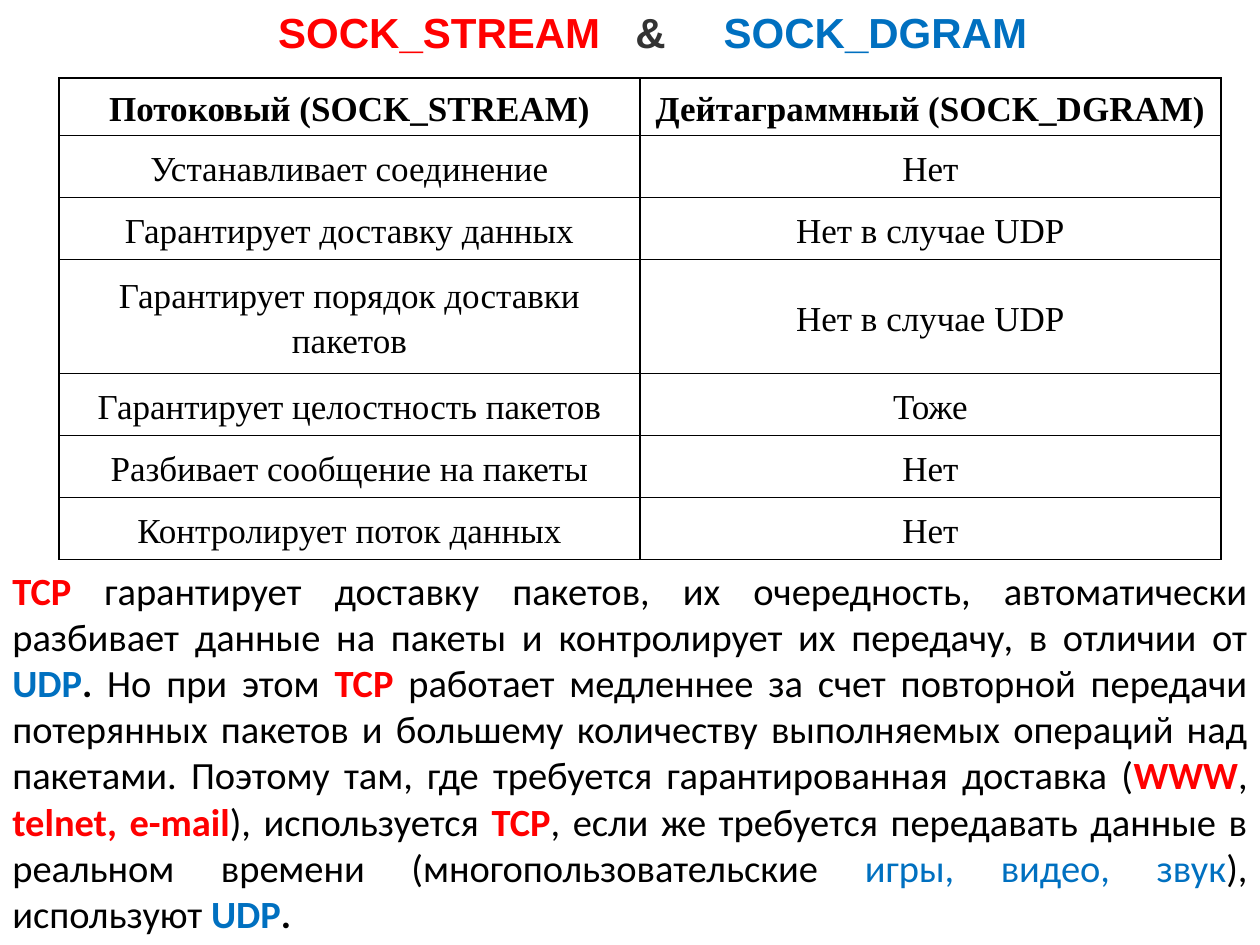
from lxml import etree
from pptx import Presentation
from pptx.dml.color import RGBColor
from pptx.enum.shapes import MSO_SHAPE
from pptx.enum.text import MSO_ANCHOR, MSO_AUTO_SIZE, PP_ALIGN
from pptx.oxml import parse_xml
from pptx.oxml.ns import nsdecls, qn
from pptx.util import Cm, Pt

BLACK = RGBColor(0x00, 0x00, 0x00)
WHITE = RGBColor(0xFF, 0xFF, 0xFF)
GRAY = RGBColor(0x33, 0x33, 0x33)
RED = RGBColor(0xFF, 0x00, 0x00)
BLUE = RGBColor(0x00, 0x70, 0xC0)

TITLE = [
    ("SOCK_STREAM\t", RED, True),
    ("&\t", GRAY, True),
    ("SOCK_DGRAM", BLUE, True),
]
TITLE_TABS = (Cm(7.2), Cm(8.98))

ROWS = [
    ("Потоковый (SOCK_STREAM)", "Дейтаграммный (SOCK_DGRAM)"),
    ("Устанавливает соединение", "Нет"),
    ("Гарантирует доставку данных", "Нет в случае UDP"),
    ("Гарантирует порядок доставки пакетов", "Нет в случае UDP"),
    ("Гарантирует целостность пакетов", "Тоже"),
    ("Разбивает сообщение на пакеты", "Нет"),
    ("Контролирует поток данных", "Нет"),
]
HEADER_HEIGHT, ROW_HEIGHT, TALL_HEIGHT = Cm(1.16), Cm(1.25), Cm(2.3)
TALL_ROW = 3
COLUMN_WIDTH = Cm(11.71)
CELL_MARGIN = Cm(0.03)

SUMMARY = [
    ("TCP", RED, True),
    (" гарантирует доставку пакетов, их очередность, автоматически разбивает "
     "данные на пакеты и контролирует их передачу, в отличии от ", BLACK, False),
    ("UDP", BLUE, True),
    (".", BLACK, True),
    (" Но при этом ", BLACK, False),
    ("TCP", RED, True),
    (" работает медленнее за счет повторной передачи потерянных пакетов и "
     "большему количеству выполняемых операций над пакетами. Поэтому там, где "
     "требуется гарантированная доставка (", BLACK, False),
    ("WWW", RED, True),
    (", ", BLACK, False),
    ("telnet, e-mail", RED, True),
    ("), используется ", BLACK, False),
    ("TCP", RED, True),
    (", если же требуется передавать данные в реальном времени "
     "(многопользовательские ", BLACK, False),
    ("игры, видео, звук", BLUE, False),
    ("), используют ", BLACK, False),
    ("UDP", BLUE, True),
    (".", BLACK, True),
]


def write_runs(p, runs, font, size):
    p.font.name = font
    p.font.size = Pt(size)
    for text, color, bold in runs:
        r = p.add_run()
        r.text = text
        r.font.color.rgb = color
        r.font.bold = bold


def add_tab_stops(p, positions):
    pPr = p._p.get_or_add_pPr()
    tabs = etree.Element(qn("a:tabLst"))
    for pos in positions:
        etree.SubElement(tabs, qn("a:tab"), pos=str(pos), algn="l")
    pPr.insert(0, tabs)


def add_title(slide):
    s = slide.shapes.add_shape(MSO_SHAPE.RECTANGLE, Cm(5.36), 0, Cm(15.75), Cm(1.28))
    s.shadow.inherit = False
    s.fill.solid()
    s.fill.fore_color.rgb = WHITE
    s.line.fill.background()
    tf = s.text_frame
    tf.word_wrap = True
    tf.vertical_anchor = MSO_ANCHOR.MIDDLE
    p = tf.paragraphs[0]
    p.alignment = PP_ALIGN.LEFT
    add_tab_stops(p, TITLE_TABS)
    write_runs(p, TITLE, "Arial", 24)


def set_borders(cell):
    tcPr = cell._tc.get_or_add_tcPr()
    for i, side in enumerate(("lnL", "lnR", "lnT", "lnB")):
        tcPr.insert(i, parse_xml(
            f'<a:{side} {nsdecls("a")} w="{Pt(1)}"><a:solidFill>'
            f'<a:srgbClr val="{BLACK}"/></a:solidFill></a:{side}>'))


def fill_cell(cell, text, bold):
    cell.fill.background()
    set_borders(cell)
    cell.vertical_anchor = MSO_ANCHOR.MIDDLE
    cell.margin_left = cell.margin_right = CELL_MARGIN
    cell.margin_top = cell.margin_bottom = CELL_MARGIN
    p = cell.text_frame.paragraphs[0]
    p.alignment = PP_ALIGN.CENTER
    p.line_spacing = 1.15
    write_runs(p, [(text, BLACK, bold)], "Times New Roman", 20)


def add_comparison(slide):
    heights = [ROW_HEIGHT] * len(ROWS)
    heights[0], heights[TALL_ROW] = HEADER_HEIGHT, TALL_HEIGHT
    table = slide.shapes.add_table(
        len(ROWS), 2, Cm(1.19), Cm(1.57), 2 * COLUMN_WIDTH, sum(heights)).table
    table.first_row = table.horz_banding = False
    for column in table.columns:
        column.width = COLUMN_WIDTH
    for i, texts in enumerate(ROWS):
        table.rows[i].height = heights[i]
        for j, text in enumerate(texts):
            fill_cell(table.cell(i, j), text, bold=i == 0)


def add_summary(slide, width):
    tf = slide.shapes.add_textbox(0, Cm(11.3), width, Cm(8.56)).text_frame
    tf.word_wrap = True
    tf.auto_size = MSO_AUTO_SIZE.SHAPE_TO_FIT_TEXT
    p = tf.paragraphs[0]
    p.alignment = PP_ALIGN.JUSTIFY
    write_runs(p, SUMMARY, "Calibri", 22)


def main():
    prs = Presentation()
    prs.slide_width, prs.slide_height = Cm(25.4), Cm(19.05)
    slide = prs.slides.add_slide(prs.slide_layouts[6])
    add_comparison(slide)
    add_title(slide)
    add_summary(slide, prs.slide_width)
    prs.save("out.pptx")


if __name__ == "__main__":
    main()
